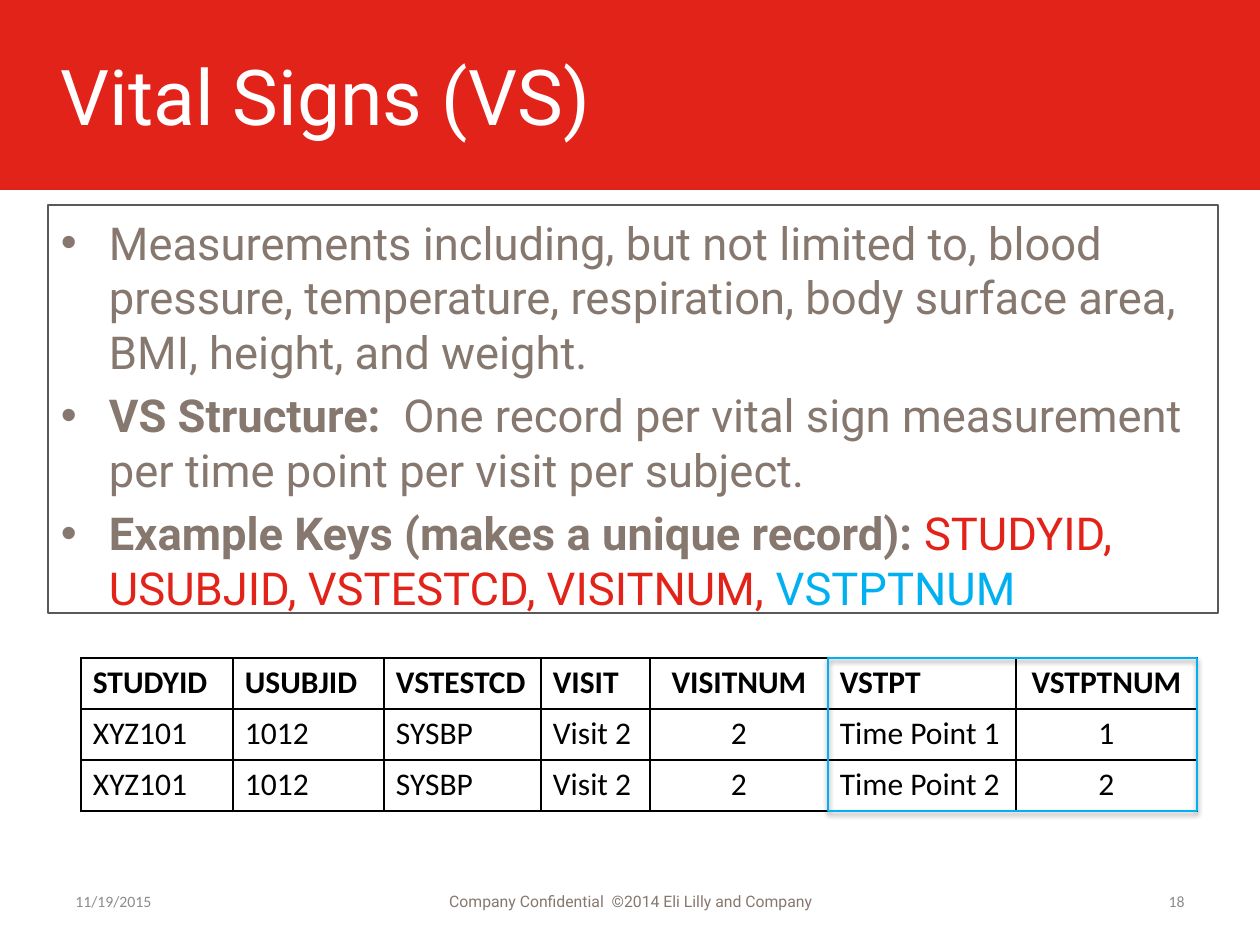
from dataclasses import dataclass

from lxml import etree
from pptx import Presentation
from pptx.dml.color import RGBColor
from pptx.enum.shapes import MSO_SHAPE
from pptx.enum.text import MSO_ANCHOR, PP_ALIGN
from pptx.oxml.ns import qn
from pptx.util import Emu, Pt

LEFT, CENTER, RIGHT = PP_ALIGN.LEFT, PP_ALIGN.CENTER, PP_ALIGN.RIGHT
TOP, MIDDLE = MSO_ANCHOR.TOP, MSO_ANCHOR.MIDDLE
RECTANGLE = MSO_SHAPE.RECTANGLE
PX_PER_INCH = 126
RED, BLUE, TAUPE, GREY = "E2231A", "00B0F0", "86786F", "8C8C8C"
WHITE, BLACK, FRAME = "FFFFFF", "000000", "595959"


@dataclass
class Box:
    left: int
    top: int
    width: int
    height: int

    def emu(self) -> list:
        return [px(n) for n in (self.left, self.top, self.width, self.height)]


@dataclass
class Run:
    text: str
    color: str = TAUPE
    bold: bool = False


@dataclass
class Label:
    box: Box
    text: str
    size: int
    font: str
    color: str
    align: int = LEFT


def px(n: int) -> Emu:
    return Emu(round(n * 914400 / PX_PER_INCH))


def rgb(color: str) -> RGBColor:
    return RGBColor.from_string(color)


def style(run, font: str, size: float, color: str, bold: bool = False) -> None:
    run.font.name, run.font.size, run.font.bold = font, Pt(size), bold
    run.font.color.rgb = rgb(color)


def add_rectangle(slide, box: Box, fill: str = "", line: str = "", weight: float = 0):
    shape = slide.shapes.add_shape(RECTANGLE, *box.emu())
    shape.shadow.inherit = False
    if fill:
        shape.fill.solid()
        shape.fill.fore_color.rgb = rgb(fill)
    else:
        shape.fill.background()
    if line:
        shape.line.color.rgb = rgb(line)
        shape.line.width = Pt(weight)
    else:
        shape.line.fill.background()
    return shape


def add_label(slide, label: Label) -> None:
    frame = slide.shapes.add_textbox(*label.box.emu()).text_frame
    frame.word_wrap = True
    frame.vertical_anchor = MIDDLE
    frame.text = label.text
    frame.paragraphs[0].alignment = label.align
    style(frame.paragraphs[0].runs[0], label.font, label.size, label.color)


def add_bullets(shape, bullets: list[list[Run]]) -> None:
    frame = shape.text_frame
    frame.word_wrap = True
    frame.vertical_anchor = TOP
    frame.margin_left = frame.margin_right = px(13)
    frame.margin_top = px(10)
    for index, parts in enumerate(bullets):
        paragraph = frame.add_paragraph() if index else frame.paragraphs[0]
        paragraph.alignment = LEFT
        paragraph.line_spacing = Pt(31.1)
        if index:
            paragraph.space_before = Pt(5.2)
        properties = paragraph._p.get_or_add_pPr()
        properties.set("marL", str(px(48)))
        properties.set("indent", str(-px(48)))
        etree.SubElement(properties, qn("a:buFont"), typeface="Arial")
        etree.SubElement(properties, qn("a:buChar"), char="•")
        for part in parts:
            run = paragraph.add_run()
            run.text = part.text
            style(run, "Roboto", 25.9, part.color, part.bold)


def add_borders(cell, color: str, points: float) -> None:
    properties = cell._tc.get_or_add_tcPr()
    for index, side in enumerate(("lnL", "lnR", "lnT", "lnB")):
        line = etree.Element(qn(f"a:{side}"), w=str(Pt(points)))
        fill = etree.SubElement(line, qn("a:solidFill"))
        etree.SubElement(fill, qn("a:srgbClr"), val=color)
        properties.insert(index, line)


def add_records(slide, box: Box, widths: list[int], rows: list[list[str]],
                centered: set[int]) -> None:
    table = slide.shapes.add_table(len(rows), len(widths), *box.emu()).table
    for column, width in zip(table.columns, widths):
        column.width = px(width)
    for r, values in enumerate(rows):
        table.rows[r].height = px(box.height // len(rows))
        for c, value in enumerate(values):
            cell = table.cell(r, c)
            cell.fill.background()
            cell.margin_left = cell.margin_right = px(12)
            cell.margin_top = cell.margin_bottom = px(6)
            cell.text = value
            paragraph = cell.text_frame.paragraphs[0]
            paragraph.alignment = CENTER if c in centered else LEFT
            style(paragraph.runs[0], "Calibri", 18, BLACK, bold=r == 0)
            add_borders(cell, BLACK, 1)


def add_soft_shadow(shape) -> None:
    effects = shape._element.spPr.find(qn("a:effectLst"))
    shadow = etree.SubElement(effects, qn("a:outerShdw"), blurRad=str(Pt(3.1)),
                              dist=str(Pt(1.8)), dir="5400000", rotWithShape="0")
    color = etree.SubElement(shadow, qn("a:srgbClr"), val=BLACK)
    etree.SubElement(color, qn("a:alpha"), val="35000")


BULLETS = [
    [Run("Measurements including, but not limited to, blood pressure, temperature, "
         "respiration, body surface area, BMI, height, and weight.")],
    [Run("VS Structure:  ", bold=True),
     Run("One record per vital sign measurement per time point per visit per subject.")],
    [Run("Example Keys (makes a unique record): ", bold=True),
     Run("STUDYID, USUBJID, VSTESTCD, VISITNUM, ", RED),
     Run("VSTPTNUM", BLUE)],
]
COLUMN_WIDTHS = [152, 151, 157, 109, 178, 188, 181]
CENTERED_COLUMNS = {4, 6}
RECORDS = [
    ["STUDYID", "USUBJID", "VSTESTCD", "VISIT", "VISITNUM", "VSTPT", "VSTPTNUM"],
    *[["XYZ101", "1012", "SYSBP", "Visit 2", "2", f"Time Point {n}", str(n)]
      for n in (1, 2)],
]
LABELS = [
    Label(Box(48, 16, 1170, 158), "Vital Signs (VS)", 44, "Roboto", WHITE),
    Label(Box(63, 876, 294, 50), "11/19/2015", 9, "Calibri", GREY),
    Label(Box(431, 876, 399, 50), "Company Confidential  ©2014 Eli Lilly and Company",
          9, "Roboto", TAUPE, CENTER),
    Label(Box(903, 876, 294, 50), "18", 9, "Calibri", GREY, RIGHT),
]


def main() -> None:
    presentation = Presentation()
    presentation.slide_width, presentation.slide_height = px(1260), px(945)
    slide = presentation.slides.add_slide(presentation.slide_layouts[6])

    # Title band, title and footer
    add_rectangle(slide, Box(0, 0, 1260, 190), fill=RED)
    for label in LABELS:
        add_label(slide, label)

    # Framed description
    description = add_rectangle(slide, Box(48, 205, 1170, 408), line=FRAME, weight=0.75)
    add_bullets(description, BULLETS)

    # Example records, with the time point columns outlined
    records_box = Box(81, 658, sum(COLUMN_WIDTHS), 153)
    add_records(slide, records_box, COLUMN_WIDTHS, RECORDS, CENTERED_COLUMNS)
    time_point_left = records_box.left + sum(COLUMN_WIDTHS[:5])
    time_point_box = Box(time_point_left, records_box.top,
                         sum(COLUMN_WIDTHS[5:]), records_box.height)
    add_soft_shadow(add_rectangle(slide, time_point_box, line=BLUE, weight=1.5))

    presentation.save("out.pptx")


if __name__ == "__main__":
    main()
